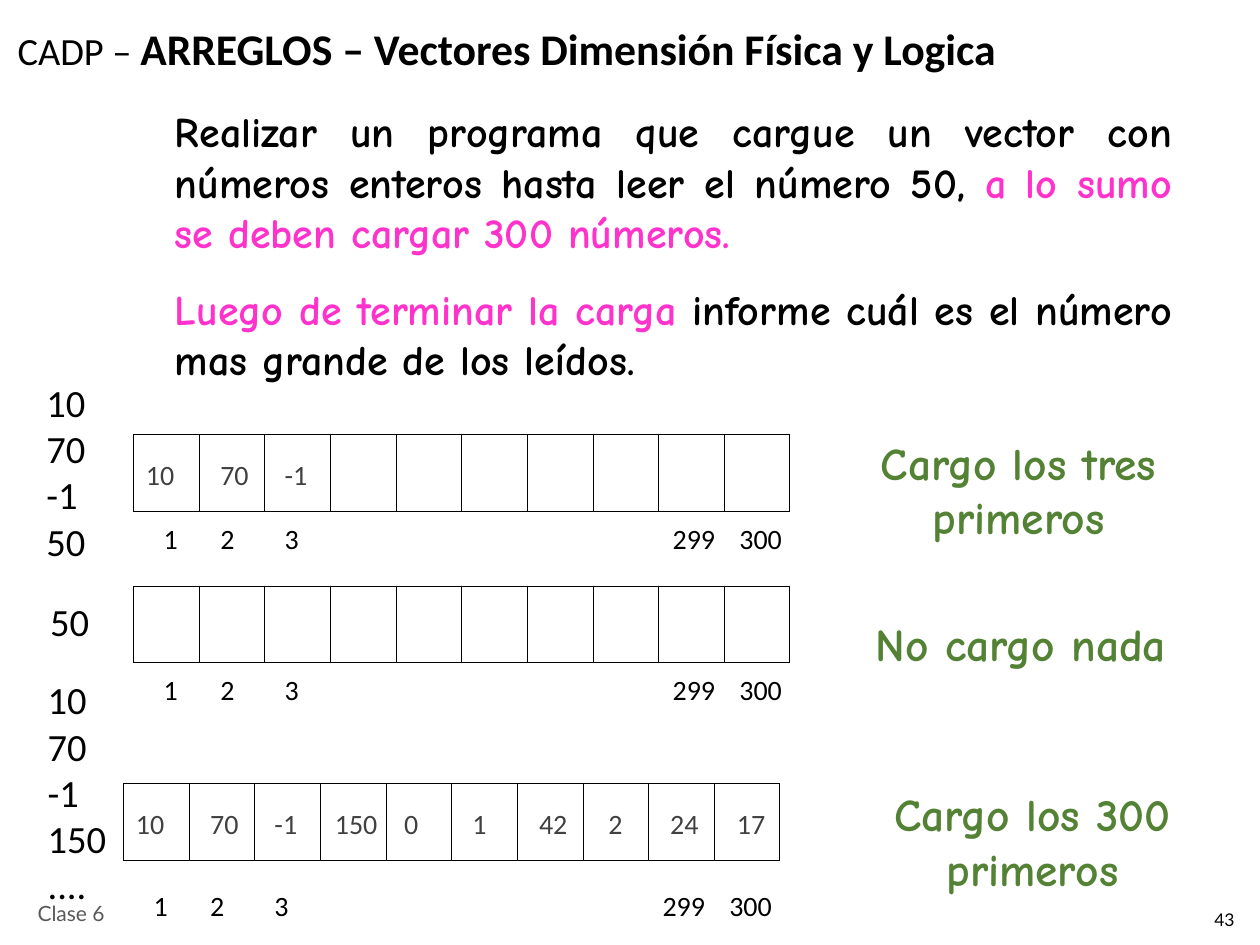
from lxml.etree import SubElement
from pptx import Presentation
from pptx.dml.color import RGBColor
from pptx.enum.text import MSO_ANCHOR, MSO_AUTO_SIZE, PP_ALIGN
from pptx.oxml.ns import qn
from pptx.util import Inches, Pt

COLORS = {
    "black": "000000",
    "value": "404040",
    "footer": "595959",
    "pink": "FF33CC",
    "green": "548235",
}
CELLS = 10
VECTOR_WIDTH, VECTOR_HEIGHT = 5.21, 0.61
INDEX_LABELS = [("1", 0.14, 0.38), ("2", 0.59, 0.38), ("3", 1.1, 0.38),
                ("299", 4.18, 0.58), ("300", 4.71, 0.56)]
VALUE_OFFSETS = [0, 0.59, 1.1, 1.58, 2.13, 2.67, 3.2, 3.75, 4.24, 4.77]


def write_text(frame, paragraphs, font="Calibri", size=16, color="black", bold=False,
               align=PP_ALIGN.LEFT, anchor=MSO_ANCHOR.TOP, wrap=True, grow=True,
               gap=0, line_spacing=None):
    frame.word_wrap = wrap
    frame.auto_size = MSO_AUTO_SIZE.SHAPE_TO_FIT_TEXT if grow else MSO_AUTO_SIZE.NONE
    frame.vertical_anchor = anchor
    for position, runs in enumerate(paragraphs):
        paragraph = frame.add_paragraph() if position else frame.paragraphs[0]
        paragraph.alignment = align
        paragraph.space_before = Pt(gap if position else 0)
        if line_spacing:
            paragraph.line_spacing = line_spacing
        for words, changes in runs:
            look = {"size": size, "color": color, "bold": bold, **changes}
            run = paragraph.add_run()
            run.text = words
            run.font.name = font
            run.font.size = Pt(look["size"])
            run.font.bold = look["bold"]
            run.font.color.rgb = RGBColor.from_string(COLORS[look["color"]])


class VectorSlide:
    def __init__(self, presentation):
        self.slide = presentation.slides.add_slide(presentation.slide_layouts[5])
        self.border_width = Pt(0.45)

    def title(self, left, top, width, height, runs):
        heading = self.slide.shapes.title
        heading.left, heading.top = Inches(left), Inches(top)
        heading.width, heading.height = Inches(width), Inches(height)
        write_text(heading.text_frame, [runs], size=22, anchor=MSO_ANCHOR.BOTTOM,
                   grow=False, line_spacing=0.7)

    def text(self, left, top, width, height, paragraphs, **style):
        box = self.slide.shapes.add_textbox(
            Inches(left), Inches(top), Inches(width), Inches(height))
        write_text(box.text_frame, paragraphs, **style)

    def label(self, left, top, width, height, words, **style):
        lines = [[(line, {})] for line in words.split("\n")]
        self.text(left, top, width, height, lines, **style)

    def input_list(self, left, top, width, height, words):
        self.label(left, top, width, height, words, size=22, wrap=False, grow=False)

    def outcome(self, left, top, height, words):
        self.label(left, top, 3.15, height, words, font="Comic Neue", size=26,
                   color="green", bold=True, align=PP_ALIGN.CENTER)

    def border(self, cell):
        properties = cell._tc.get_or_add_tcPr()
        for position, side in enumerate(("a:lnL", "a:lnR", "a:lnT", "a:lnB")):
            line = SubElement(properties, qn(side), w=str(self.border_width))
            fill = SubElement(line, qn("a:solidFill"))
            SubElement(fill, qn("a:srgbClr"), val=COLORS["black"])
            properties.remove(line)
            properties.insert(position, line)

    def vector(self, left, top, values=(), index_drop=0.64):
        grid = self.slide.shapes.add_table(
            1, CELLS, Inches(left), Inches(top),
            Inches(VECTOR_WIDTH), Inches(VECTOR_HEIGHT)).table
        grid.first_row = grid.horz_banding = False
        for column in grid.columns:
            column.width = Inches(VECTOR_WIDTH / CELLS)
        for cell in grid.rows[0].cells:
            cell.fill.background()
            self.border(cell)
        for value, offset in zip(values, VALUE_OFFSETS):
            self.label(left + offset, top + 0.13, 0.58, 0.37, value,
                       color="value", align=PP_ALIGN.JUSTIFY)
        for index, offset, width in INDEX_LABELS:
            self.label(left + offset, top + index_drop, width, 0.37, index,
                       align=PP_ALIGN.JUSTIFY)


def main():
    presentation = Presentation()
    presentation.slide_width, presentation.slide_height = Inches(10), Inches(7.5)
    page = VectorSlide(presentation)

    page.title(0.04, 0.03, 8.51, 0.6, [
        ("CADP – ", {}),
        ("ARREGLOS – Vectores Dimensión Física y Logica", {"size": 25, "bold": True}),
    ])
    pink = {"color": "pink"}
    page.text(1.29, 0.79, 8.11, 2.31, [
        [("Realizar un programa que cargue un vector con números enteros "
          "hasta leer el número 50, ", {}),
         ("a lo sumo se deben cargar 300 números.", pink)],
        [("Luego de terminar la carga ", pink),
         ("informe cuál es el número mas grande de los leídos.", {})],
    ], font="Comic Neue", size=24, bold=True, align=PP_ALIGN.JUSTIFY, gap=15)

    page.input_list(0.27, 2.96, 0.64, 1.57, "10\n70\n-1\n50")
    page.vector(1.06, 3.45, ["10", "70", "-1"])
    page.outcome(6.51, 3.4, 0.97, "Cargo los tres primeros")

    page.input_list(0.3, 4.7, 0.51, 0.47, "50")
    page.vector(1.06, 4.65)
    page.outcome(6.53, 4.84, 0.54, "No cargo nada")

    page.input_list(0.28, 5.32, 0.7, 1.94, "10\n70\n-1\n150\n....")
    page.vector(0.98, 6.22,
                ["10", "70", "-1", "150", "0", "1", "42", "2", "24", "17"],
                index_drop=0.78)
    page.outcome(6.62, 6.19, 0.97, "Cargo los 300 primeros")

    footer = {"font": "Lato", "anchor": MSO_ANCHOR.MIDDLE, "grow": False}
    page.label(0.2, 7.05, 2.33, 0.4, "Clase 6", size=12, color="footer", **footer)
    page.label(9.54, 7.09, 0.46, 0.41, "43", size=10, **footer)

    presentation.save("out.pptx")


if __name__ == "__main__":
    main()
